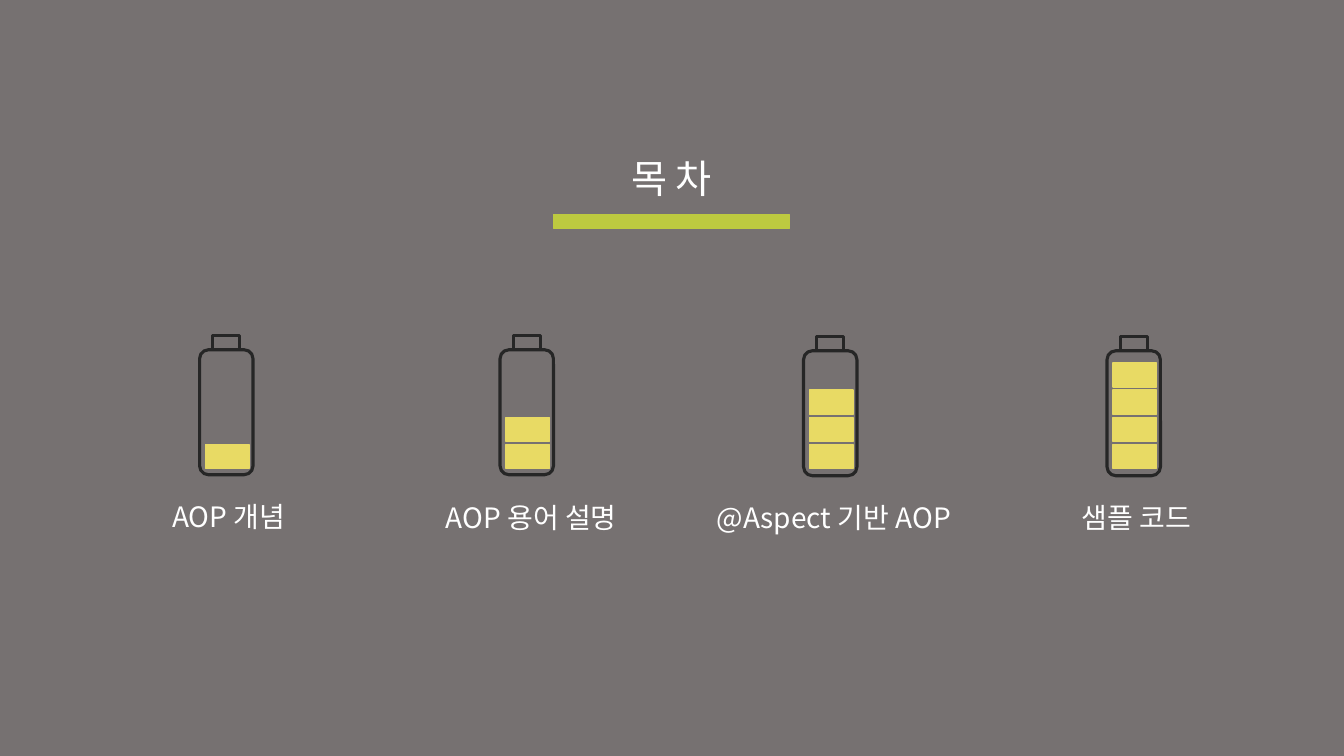
from pptx import Presentation
from pptx.dml.color import RGBColor
from pptx.enum.shapes import MSO_SHAPE
from pptx.enum.text import MSO_ANCHOR, MSO_AUTO_SIZE, PP_ALIGN
from pptx.oxml.ns import qn
from pptx.util import Inches, Pt
from lxml import etree

RECT, ROUND = MSO_SHAPE.RECTANGLE, MSO_SHAPE.ROUNDED_RECTANGLE
TOP, CENTER, FIXED = MSO_ANCHOR.TOP, PP_ALIGN.CENTER, MSO_AUTO_SIZE.NONE
FONT = "Noto Sans CJK KR"
COLORS = {"back": "767171", "text": "FFFFFF", "case": "262626",
          "cell": "E8DA64", "bar": "BDCA40"}

deck = Presentation()
deck.slide_width, deck.slide_height = Inches(13.33), Inches(7.5)
slide = deck.slides.add_slide(deck.slide_layouts[5])
slide.background.fill.solid()
slide.background.fill.fore_color.rgb = RGBColor.from_string(COLORS["back"])


def write(box, text, size):
    frame = box.text_frame
    style = {"word_wrap": True, "auto_size": FIXED, "vertical_anchor": TOP}
    for key, value in style.items():
        setattr(frame, key, value)
    para = frame.paragraphs[0]
    para.alignment = CENTER
    run = para.add_run()
    run.text = text
    for key, value in {"name": FONT, "size": Pt(size)}.items():
        setattr(run.font, key, value)
    run.font.color.rgb = RGBColor.from_string(COLORS["text"])
    etree.SubElement(run.font._element, qn("a:ea"), typeface=FONT)


def draw(kind, left, top, width, height, color, weight=1, filled=True):
    shape = slide.shapes.add_shape(
        kind, Inches(left), Inches(top), Inches(width), Inches(height))
    shape.shadow.inherit = False
    shape.line.color.rgb = RGBColor.from_string(COLORS[color])
    shape.line.width = Pt(weight)
    if filled:
        shape.fill.solid()
        shape.fill.fore_color.rgb = RGBColor.from_string(COLORS[color])
    else:
        shape.fill.background()


title = slide.shapes.title
place = {"left": 5.16, "top": 1.48, "width": 3, "height": 0.57}
for key, value in place.items():
    setattr(title, key, Inches(value))
write(title, "목 차", 28)
draw(RECT, 5.49, 2.13, 2.34, 0.14, "bar")

topics = [("AOP 개념", 1.98, 3.47, 4.91),
          ("AOP 용어 설명", 4.96, 3.47, 4.92),
          ("@Aspect 기반 AOP", 7.97, 3.48, 4.92),
          ("샘플 코드", 10.98, 3.48, 4.92)]
for index, (text, left, top, base) in enumerate(topics):
    label = slide.shapes.add_textbox(
        Inches(0.77 + 3 * index), Inches(base), Inches(3), Inches(0.44))
    write(label, text, 20)
    draw(ROUND, left, top, 0.53, 1.24, "case", 2.25, False)
    draw(RECT, left + 0.13, top - 0.14, 0.27, 0.14, "case", 2.25, False)
    for level in range(index + 1):
        draw(RECT, left + 0.06, 4.41 - 0.27 * level, 0.43, 0.24, "cell")

deck.save("out.pptx")
